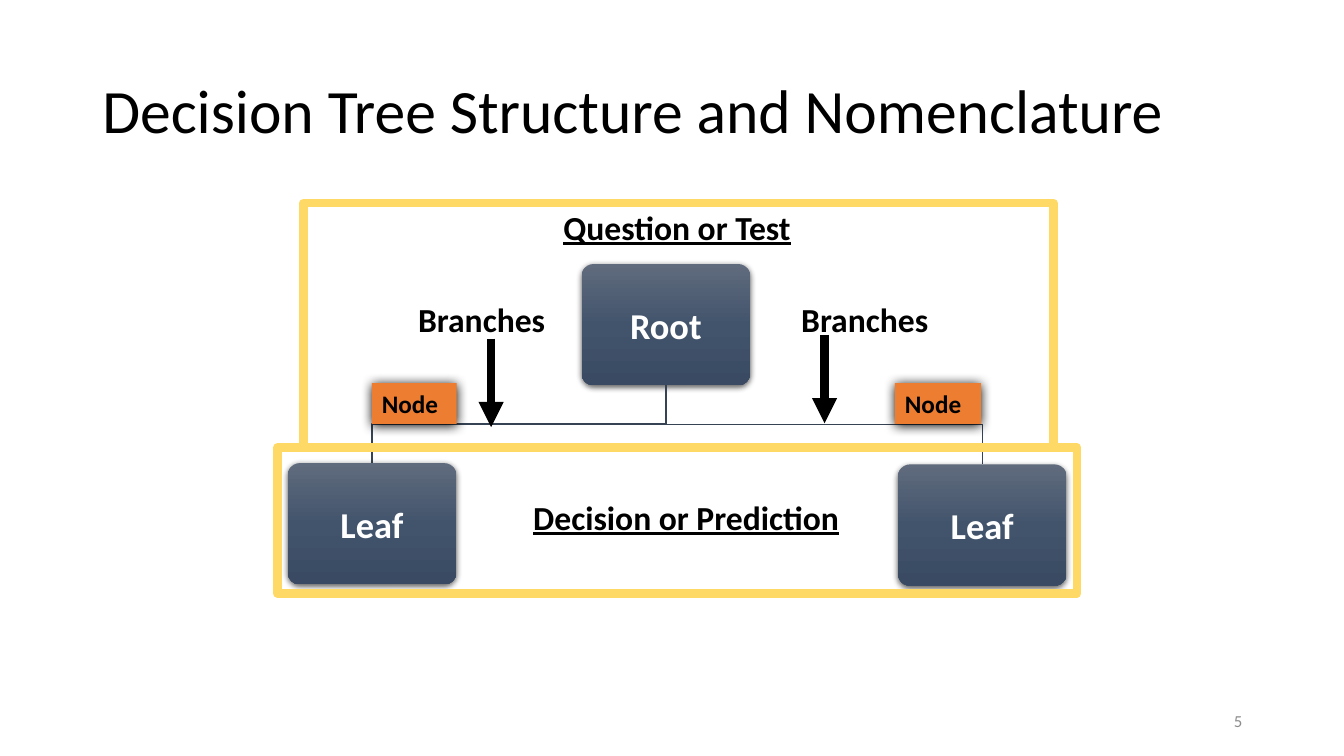
from copy import deepcopy

from pptx import Presentation
from pptx.dml.color import RGBColor
from pptx.enum.shapes import MSO_CONNECTOR, MSO_SHAPE
from pptx.enum.text import MSO_ANCHOR, MSO_AUTO_SIZE, PP_ALIGN
from pptx.oxml import parse_xml
from pptx.oxml.ns import nsdecls, qn
from pptx.util import Pt

LEFT, CENTER, RIGHT = PP_ALIGN.LEFT, PP_ALIGN.CENTER, PP_ALIGN.RIGHT
TOP, MIDDLE = MSO_ANCHOR.TOP, MSO_ANCHOR.MIDDLE
GROW = MSO_AUTO_SIZE.SHAPE_TO_FIT_TEXT
RECT, ROUNDED = MSO_SHAPE.RECTANGLE, MSO_SHAPE.ROUNDED_RECTANGLE
STRAIGHT = MSO_CONNECTOR.STRAIGHT

FONT = "Calibri"
COLORS = {
    "text": "000000", "light": "FFFFFF", "number": "8C8C8C",
    "box_top": "606B7D", "box_mid": "42546C", "box_end": "394A62",
    "branch": "364355", "tag": "ED7D31", "frame": "FFD966",
}

# Content: lengths in points
TITLE = ("Decision Tree Structure and Nomenclature", 66, 28.8, 828, 104.4)
PAGE_NUMBER = ("5", 678.6, 500.4, 216, 28.8)
BOX_W, BOX_H = 120.5, 86.6
ROOT = ("Root", 415.4, 188.6)
LEAVES = [("Leaf", 205.5, 330.8), ("Leaf", 641.4, 331.7)]
NODE_TAGS = [("Node", 265.7, 273.6, 60.6), ("Node", 639.3, 273.6, 61.4)]
TAG_H = 29.1
BRANCH_LABELS = [("Branches", 565.2, 210.2, 120), ("Branches", 291.6, 210.2, 120)]
BRANCH_ARROWS = [(589, 239.2), (350.8, 241.9)]
ARROW_LENGTH = 63.2
FRAMES = [
    ((216.8, 144.9, 535.6, 174.7), ("Question or Test", 395.4, 144.2, 207.5)),
    ((198.1, 319.6, 571.2, 104.4), ("Decision or Prediction", 373.8, 351.2, 251.2)),
]
LABEL_H = 36.4

prs = Presentation()
prs.slide_width, prs.slide_height = Pt(960), Pt(540)
slide = prs.slides.add_slide(prs.slide_layouts[6])
shapes = slide.shapes


def rgb(name):
    return RGBColor.from_string(COLORS[name])


def write(shape, text, size, color="text", bold=False, underline=False,
          align=LEFT, anchor=TOP):
    frame = shape.text_frame
    frame.text = text
    frame.word_wrap = True
    frame.vertical_anchor = anchor
    paragraph = frame.paragraphs[0]
    paragraph.alignment = align
    font = paragraph.runs[0].font
    font.name, font.size, font.bold = FONT, Pt(size), bold
    font.underline = underline
    font.color.rgb = rgb(color)
    return frame


def add_text(text, x, y, w, h, size, **style):
    return write(shapes.add_textbox(Pt(x), Pt(y), Pt(w), Pt(h)), text, size, **style)


def add_label(text, x, y, w, **style):
    add_text(text, x, y, w, LABEL_H, 24, bold=True, **style).auto_size = GROW


def add_plain(kind, x, y, w, h):
    shape = shapes.add_shape(kind, Pt(x), Pt(y), Pt(w), Pt(h))
    shape.shadow.inherit = False
    return shape


def cast_shadow(shape, blur, distance, opacity):
    effects = shape._element.spPr.find(qn("a:effectLst"))
    effects.append(parse_xml(
        f'<a:outerShdw {nsdecls("a")} blurRad="{Pt(blur)}" dist="{Pt(distance)}" '
        f'dir="5400000" algn="ctr" rotWithShape="0"><a:srgbClr val="{COLORS["text"]}">'
        f'<a:alpha val="{opacity * 1000}"/></a:srgbClr></a:outerShdw>'))


def add_tree_box(text, x, y):
    box = add_plain(ROUNDED, x, y, BOX_W, BOX_H)
    box.adjustments[0] = 0.1
    box.line.fill.background()
    box.fill.gradient()
    box.fill.gradient_angle = 270
    stop_list = box._element.spPr.find(".//" + qn("a:gsLst"))
    stop_list.insert(1, deepcopy(stop_list[0]))
    shades = ("box_top", "box_mid", "box_end")
    for i, (stop, shade) in enumerate(zip(box.fill.gradient_stops, shades)):
        stop.position = i / 2
        stop.color.rgb = rgb(shade)
    cast_shadow(box, 4.5, 1.5, 63)
    frame = write(box, text, 26, color="light", bold=True, align=CENTER, anchor=MIDDLE)
    frame.margin_left = frame.margin_right = Pt(10)
    frame.margin_top = frame.margin_bottom = Pt(10)


def add_branch(leaf_x, leaf_y):
    start_x, start_y = ROOT[1] + BOX_W / 2, ROOT[2] + BOX_H
    end_x, mid_y = leaf_x + BOX_W / 2, (start_y + leaf_y) / 2
    builder = shapes.build_freeform(Pt(start_x), Pt(start_y))
    corners = [(start_x, mid_y), (end_x, mid_y), (end_x, leaf_y)]
    builder.add_line_segments([(Pt(x), Pt(y)) for x, y in corners], close=False)
    branch = builder.convert_to_shape()
    branch.shadow.inherit = False
    branch.fill.background()
    branch.line.color.rgb = rgb("branch")
    branch.line.width = Pt(1)


# Page number and tree
add_text(*PAGE_NUMBER, 12, color="number", align=RIGHT, anchor=MIDDLE)
add_tree_box(*ROOT)
for leaf in LEAVES:
    add_branch(*leaf[1:])
    add_tree_box(*leaf)

# Node tags
for text, x, y, w in NODE_TAGS:
    tag = add_plain(RECT, x, y, w, TAG_H)
    tag.fill.solid()
    tag.fill.fore_color.rgb = rgb("tag")
    tag.line.fill.background()
    cast_shadow(tag, 8.5, 1, 100)
    write(tag, text, 18, bold=True).auto_size = GROW

# Title
add_text(*TITLE, 44, anchor=MIDDLE).paragraphs[0].line_spacing = 0.9

# Branch labels and arrows
for label in BRANCH_LABELS:
    add_label(*label)
for x, y in BRANCH_ARROWS:
    arrow = shapes.add_connector(STRAIGHT, Pt(x), Pt(y), Pt(x), Pt(y + ARROW_LENGTH))
    arrow.line.color.rgb = rgb("text")
    arrow.line.width = Pt(6)
    arrow.line._get_or_add_ln().append(
        parse_xml(f'<a:tailEnd {nsdecls("a")} type="triangle"/>'))
    arrow._element.spPr.append(parse_xml(f'<a:effectLst {nsdecls("a")}/>'))

# Frames and their captions
for bounds, caption in FRAMES:
    outline = add_plain(RECT, *bounds)
    outline.fill.background()
    outline.line.color.rgb = rgb("frame")
    outline.line.width = Pt(6)
    add_label(*caption, underline=True)

prs.save("out.pptx")
